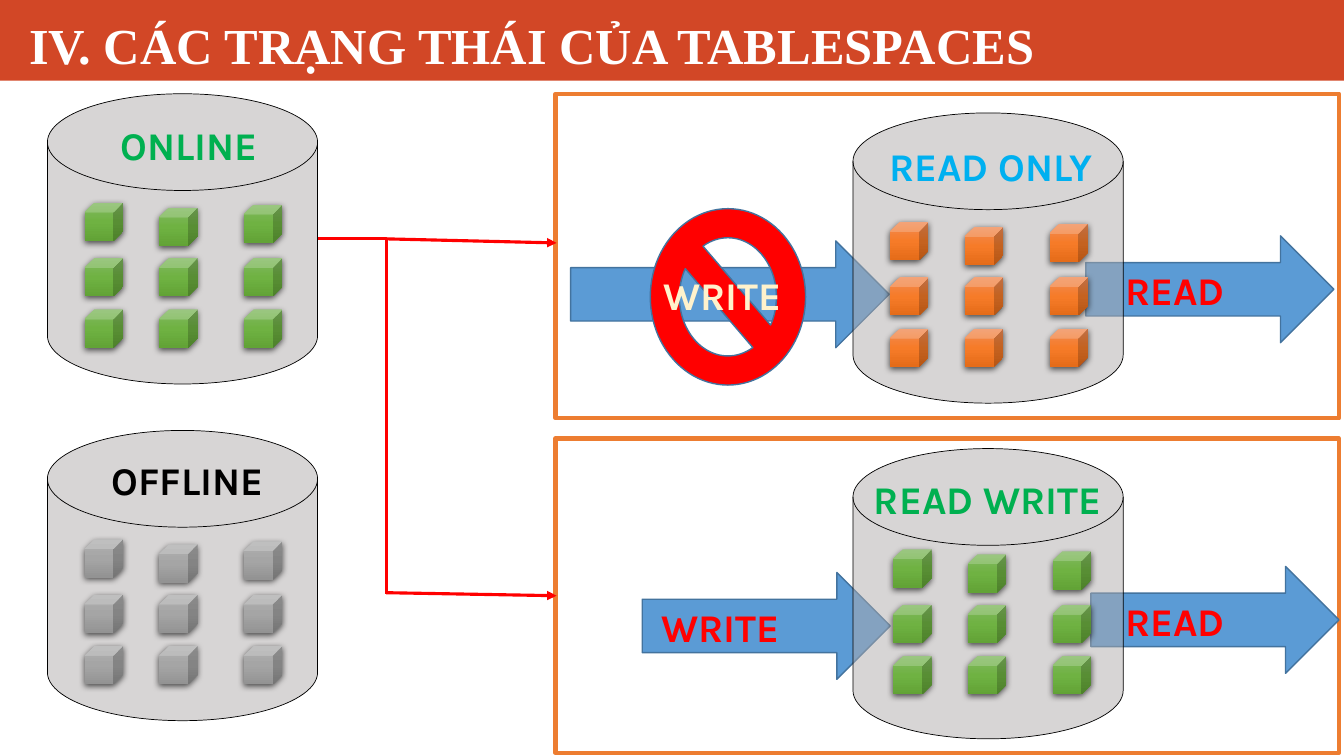
from dataclasses import dataclass
from itertools import product
from typing import Any, Optional

from lxml import etree
from pptx import Presentation
from pptx import util as u
from pptx.dml.color import RGBColor
from pptx.enum import shapes, text
from pptx.oxml import parse_xml
from pptx.oxml.ns import nsdecls, qn

# The page is a grid of square cells, one inch each.
CELL = u.Inches(1)
COLUMNS, ROWS = 13.33, 7.5
KIND = shapes.MSO_SHAPE


@dataclass(frozen=True)
class Theme:
    """Colours, fonts, type sizes and line widths."""
    header: str = "D24726"
    white: str = "FFFFFF"
    black: str = "000000"
    frame: str = "ED7D31"
    arrow: str = "5B9BD5"
    outline: str = "43739E"
    disk: str = "AFABAB"
    red: str = "FF0000"
    green: str = "00B050"
    blue: str = "00B0F0"
    cream: str = "FFF2CC"
    green_cube: tuple = ("81B861", "6FB242", "62A336")
    orange_cube: tuple = ("F18C57", "F67B28", "E56C19")
    grey_cube: tuple = ("AFAFAF", "A5A5A5", "939393")
    title_font: str = "Times New Roman"
    label_font: str = "Karla"
    title_size: float = 36
    label_size: float = 28
    frame_width: float = 3
    link_width: float = 2.25


THEME = Theme()


@dataclass(frozen=True)
class Area:
    """A rectangle in grid columns and rows."""
    left: float
    top: float
    width: float
    height: float


@dataclass(frozen=True)
class Label:
    """A word in colour, with its place."""
    words: str
    area: Area
    color: str


@dataclass(frozen=True)
class Tablespace:
    """A disk of cubes, with the shift of its cubes."""
    left: float
    top: float
    cubes: tuple
    shift_x: float = 0
    shift_y: float = 0


@dataclass(frozen=True)
class Link:
    """A red line between two grid points."""
    start: tuple
    end: tuple
    bent: bool = False


def cells(*values: float) -> list:
    """Turn grid counts into lengths."""
    return [u.Emu(round(value * CELL)) for value in values]


def spread(area: Area) -> list:
    """Give left, top, width and height as lengths."""
    return cells(area.left, area.top, area.width, area.height)


def apply(target: Any, values: dict) -> None:
    """Set each format value on the target."""
    for name, value in values.items():
        setattr(target, name, value)


def add_block(page: Any, kind: Any, area: Area, fill: str,
              line: Optional[str] = None, width: float = 1) -> Any:
    """Draw a preset shape with a plain fill."""
    block = page.shapes.add_shape(kind, *spread(area))
    block.shadow.inherit = False
    block.fill.solid()
    block.fill.fore_color.rgb = RGBColor.from_string(fill)
    if line:
        block.line.color.rgb = RGBColor.from_string(line)
        block.line.width = u.Pt(width)
    else:
        block.line.fill.background()
    return block


def add_text(page: Any, label: Label, frame: dict, font: dict,
             spacing: float = 1) -> None:
    """Write one line of bold text."""
    box = page.shapes.add_textbox(*spread(label.area))
    apply(box.text_frame, frame)
    para = box.text_frame.paragraphs[0]
    para.line_spacing = spacing
    span = para.add_run()
    span.text = label.words
    apply(span.font, {"bold": True, **font})
    span.font.color.rgb = RGBColor.from_string(label.color)


def add_cube(page: Any, area: Area, colors: tuple) -> None:
    """Draw a cube with a vertical gradient and a soft shadow."""
    cube = add_block(page, KIND.CUBE, area, colors[1])
    stops = "".join(
        f'<a:gs pos="{step * 50000}"><a:srgbClr val="{color}"/></a:gs>'
        for step, color in enumerate(colors))
    properties = cube.element.spPr
    properties.replace(properties.find(qn("a:solidFill")), parse_xml(
        f'<a:gradFill {nsdecls("a")} rotWithShape="1"><a:gsLst>{stops}</a:gsLst>'
        '<a:lin ang="5400000" scaled="0"/></a:gradFill>'))
    properties.find(qn("a:effectLst")).append(parse_xml(
        f'<a:outerShdw {nsdecls("a")} blurRad="{u.Pt(4.5)}" dist="{u.Pt(1.5)}" '
        'dir="5400000" algn="ctr" rotWithShape="0">'
        f'<a:srgbClr val="{THEME.black}"><a:alpha val="63000"/></a:srgbClr>'
        '</a:outerShdw>'))


def add_tablespace(page: Any, space: Tablespace) -> None:
    """Draw a see-through disk and its three by three cubes."""
    disk = add_block(page, KIND.FLOWCHART_MAGNETIC_DISK,
                     Area(space.left, space.top, 2.68, 2.88),
                     THEME.disk, THEME.black, 0.5)
    tint = disk.element.spPr.find(qn("a:solidFill"))[0]
    etree.SubElement(tint, qn("a:alpha")).set("val", "49000")
    columns, rows, top_row_drop = (0.37, 1.11, 1.95), (1.08, 1.63, 2.14), (0, 0.05, 0.02)
    for row, column in product(range(3), range(3)):
        drop = top_row_drop[column] if row == 0 else 0
        add_cube(page, Area(space.left + columns[column] + space.shift_x,
                            space.top + rows[row] + drop + space.shift_y,
                            0.38, 0.38), space.cubes)


def add_link(page: Any, link: Link) -> None:
    """Draw a bent line, or a straight one with an arrowhead."""
    route = shapes.MSO_CONNECTOR.ELBOW if link.bent else shapes.MSO_CONNECTOR.STRAIGHT
    line = page.shapes.add_connector(route, *cells(*link.start, *link.end))
    line.line.color.rgb = RGBColor.from_string(THEME.red)
    line.line.width = u.Pt(THEME.link_width)
    properties = line.element.spPr
    if link.bent:
        properties.find(qn("a:prstGeom")).set("prst", "bentConnector2")
    else:
        etree.SubElement(properties.find(qn("a:ln")), qn("a:tailEnd")).set("type", "triangle")
    etree.SubElement(properties, qn("a:effectLst"))


PANELS = (Area(5.51, 4.35, 7.77, 3.12), Area(5.51, 0.93, 7.77, 3.22))
ARROWS = (Area(10.82, 5.62, 2.46, 1.06), Area(6.37, 5.68, 2.46, 1.06),
          Area(10.77, 2.34, 2.46, 1.06), Area(5.66, 2.39, 3.16, 1.06))
SPACES = (Tablespace(8.46, 1.12, THEME.orange_cube),
          Tablespace(0.47, 4.27, THEME.grey_cube),
          Tablespace(0.47, 0.93, THEME.green_cube),
          Tablespace(8.46, 4.45, THEME.green_cube, 0.03, -0.08))
TITLE = Label("IV. CÁC TRẠNG THÁI CỦA TABLESPACES", Area(0.19, 0, 12.94, 0.8), THEME.white)
LABELS = (Label("WRITE", Area(6.48, 2.64, 1.42, 0.57), THEME.cream),
          Label("READ", Area(11.06, 2.59, 1.24, 0.57), THEME.red),
          Label("WRITE", Area(6.46, 5.94, 1.42, 0.57), THEME.red),
          Label("READ", Area(11.06, 5.88, 1.24, 0.57), THEME.red),
          Label("ONLINE", Area(1.1, 1.15, 1.66, 0.57), THEME.green),
          Label("OFFLINE", Area(1.01, 4.48, 1.75, 0.57), THEME.black),
          Label("READ ONLY", Area(8.72, 1.36, 2.37, 0.57), THEME.blue),
          Label("READ WRITE", Area(8.57, 4.67, 2.56, 0.57), THEME.green))
LINKS = (Link((3.15, 2.37), (3.83, 5.89), bent=True),
         Link((3.83, 5.88), (5.52, 5.91)),
         Link((3.83, 2.37), (5.52, 2.41)))

deck = Presentation()
deck.slide_width, deck.slide_height = cells(COLUMNS, ROWS)
page = deck.slides.add_slide(deck.slide_layouts[6])

add_block(page, KIND.RECTANGLE, Area(0, 0, COLUMNS, 0.8), THEME.header)
add_text(page, TITLE, {"word_wrap": True, "vertical_anchor": text.MSO_ANCHOR.BOTTOM},
         {"name": THEME.title_font, "size": u.Pt(THEME.title_size)}, 0.9)
for panel in PANELS:
    add_block(page, KIND.FLOWCHART_PROCESS, panel, THEME.white, THEME.frame, THEME.frame_width)
for arrow in ARROWS:
    add_block(page, KIND.RIGHT_ARROW, arrow, THEME.arrow, THEME.outline)
for space in SPACES:
    add_tablespace(page, space)
add_block(page, KIND.NO_SYMBOL, Area(6.45, 2.07, 1.54, 1.75), THEME.red, THEME.outline)
for label in LABELS:
    add_text(page, label,
             {"word_wrap": False, "auto_size": text.MSO_AUTO_SIZE.SHAPE_TO_FIT_TEXT},
             {"name": THEME.label_font, "size": u.Pt(THEME.label_size)})
for link in LINKS:
    add_link(page, link)

deck.save("out.pptx")
